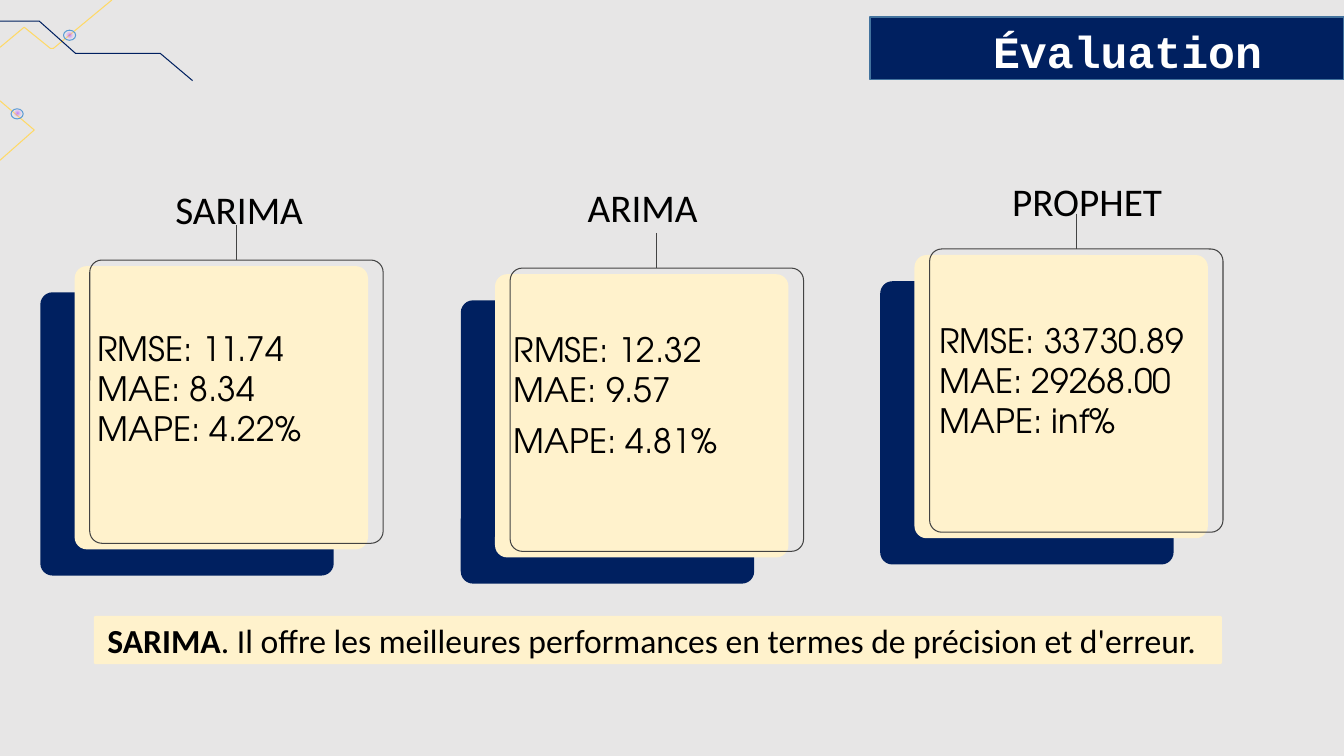
"""Builds the model evaluation slide comparing SARIMA, ARIMA and PROPHET."""
from dataclasses import dataclass
from typing import Optional

from lxml.etree import SubElement
from pptx import Presentation
from pptx.dml.color import RGBColor
from pptx.enum.shapes import MSO_CONNECTOR, MSO_SHAPE
from pptx.enum.text import MSO_ANCHOR, MSO_AUTO_SIZE, PP_ALIGN
from pptx.oxml import parse_xml
from pptx.oxml.ns import nsdecls, qn
from pptx.util import Inches, Pt

COLORS = {
    "background": "E7E6E6", "navy": "002060", "cream": "FFF2CC", "gold": "FFD966",
    "outline": "434343", "banner_line": "43739E", "ring": "5B9BD5",
    "glow": "9900FF", "white": "FFFFFF", "black": "000000",
}
CARD_W, CARD_H = 2.91, 2.81
METRIC_FONT = "TeX Gyre Adventor"


@dataclass
class Model:
    name: str
    x: float
    y: float
    name_box: tuple[float, float, float, float]
    metrics: list[str]
    metrics_box: Optional[tuple[float, float, float, float]] = None


@dataclass
class Trace:
    color: str
    points: list[tuple[float, float]]


MODELS = [
    Model("SARIMA", 0.4, 2.9, (1.64, 1.79, 1.48, 0.57),
          ["RMSE: 11.74", "MAE: 8.34", "MAPE: 4.22%"], (0.87, 3.2, 2.44, 1.31)),
    Model("ARIMA", 4.57, 2.98, (5.73, 1.77, 1.31, 0.57),
          ["RMSE: 12.32", "MAE: 9.57", "MAPE: 4.81%"]),
    Model("PROPHET", 8.73, 2.79, (9.94, 1.71, 1.71, 0.57),
          ["RMSE: 33730.89", "MAE: 29268.00", "MAPE: inf%"], (9.22, 3.12, 2.95, 1.31)),
]
TRACES = [
    Trace("gold", [(1.11, 0), (0.53, 0.48), (0.5, 0.48), (0.24, 0.27), (0, 0.47)]),
    Trace("gold", [(0, 1), (0.34, 1.29), (0, 1.59)]),
    Trace("navy", [(0, 0.21), (0.39, 0.21), (0.75, 0.53), (1.59, 0.53), (1.91, 0.8)]),
]
NODES = [(0.11, 1.08), (0.63, 0.3)]


def rgb(name: str) -> RGBColor:
    """Return a palette colour."""
    return RGBColor.from_string(COLORS[name])


def add_box(s, kind, box, fill=None, line=None, width=0.75):
    """Add a preset shape without shadow."""
    sp = s.shapes.add_shape(kind, *map(Inches, box))
    sp.shadow.inherit = False
    if kind == MSO_SHAPE.ROUNDED_RECTANGLE:
        sp.adjustments[0] = 0.043
    if fill:
        sp.fill.solid()
        sp.fill.fore_color.rgb = rgb(fill)
    else:
        sp.fill.background()
    if line:
        sp.line.color.rgb = rgb(line)
        sp.line.width = Pt(width)
    else:
        sp.line.fill.background()
    return sp


def write(tf, lines: list[str], font: str, size: int) -> None:
    """Write left-aligned black paragraphs."""
    tf.text = "\n".join(lines)
    for p in tf.paragraphs:
        p.alignment = PP_ALIGN.LEFT
        p.font.name = font
        p.font.size = Pt(size)
        p.font.color.rgb = rgb("black")


def set_margins(tf, left: float, top: float, right: float, bottom: float) -> None:
    """Set the insets and centre the text vertically."""
    tf.margin_left, tf.margin_top = Inches(left), Inches(top)
    tf.margin_right, tf.margin_bottom = Inches(right), Inches(bottom)
    tf.vertical_anchor = MSO_ANCHOR.MIDDLE


def add_label(s, box, lines: list[str], font: str, size: int) -> None:
    """Add a text box that fits its text."""
    tf = s.shapes.add_textbox(*map(Inches, box)).text_frame
    tf.word_wrap = False
    tf.auto_size = MSO_AUTO_SIZE.SHAPE_TO_FIT_TEXT
    write(tf, lines, font, size)


def add_title(s) -> None:
    """Add the banner and lay the title over it."""
    banner = add_box(s, MSO_SHAPE.RECTANGLE, (8.63, 0.17, 4.7, 0.62),
                     "navy", "banner_line", 1)
    title = s.shapes.title
    banner.element.addnext(title.element)
    title.left, title.top = Inches(6.87), Inches(-0.06)
    title.width, title.height = Inches(6.02), Inches(1.04)
    tf = title.text_frame
    tf.text = "Évaluation"
    tf.auto_size = MSO_AUTO_SIZE.NONE
    set_margins(tf, 0.1, 0.1, 0.37, 0.1)
    p = tf.paragraphs[0]
    p.alignment = PP_ALIGN.RIGHT
    p.line_spacing = 1.15
    p.font.name = "Courier New"
    p.font.size = Pt(32)
    p.font.bold = True
    p.font.color.rgb = rgb("white")


def add_trace(s, trace: Trace) -> None:
    """Draw an open circuit line."""
    start, *rest = [(Inches(x), Inches(y)) for x, y in trace.points]
    builder = s.shapes.build_freeform(*start)
    builder.add_line_segments(rest, close=False)
    sp = builder.convert_to_shape()
    sp.shadow.inherit = False
    sp.fill.background()
    sp.line.color.rgb = rgb(trace.color)
    sp.line.width = Pt(0.75)


def add_node(s, x: float, y: float) -> None:
    """Draw a ring with a glowing centre."""
    add_box(s, MSO_SHAPE.OVAL, (x, y, 0.12, 0.1), line="ring")
    core = add_box(s, MSO_SHAPE.OVAL, (x + 0.02, y + 0.01, 0.08, 0.07), "glow")
    solid = core.element.spPr.find(qn("a:solidFill"))
    core.element.spPr.replace(solid, parse_xml(
        f'<a:gradFill {nsdecls("a")}><a:gsLst>'
        f'<a:gs pos="0"><a:srgbClr val="{COLORS["glow"]}"><a:alpha val="47000"/></a:srgbClr></a:gs>'
        f'<a:gs pos="100000"><a:srgbClr val="{COLORS["white"]}"><a:alpha val="0"/></a:srgbClr></a:gs>'
        '</a:gsLst><a:path path="circle">'
        '<a:fillToRect l="50000" t="50000" r="50000" b="50000"/></a:path></a:gradFill>'))


def add_model(s, m: Model) -> None:
    """Draw a model's layered card, stem, name and metrics."""
    rounded = MSO_SHAPE.ROUNDED_RECTANGLE
    add_box(s, rounded, (m.x, m.y, CARD_W, CARD_H), "navy")
    card = add_box(s, rounded, (m.x + 0.34, m.y - 0.26, CARD_W, CARD_H), "cream")
    frame = add_box(s, rounded, (m.x + 0.49, m.y - 0.32, CARD_W, CARD_H), line="outline")
    stem_x = frame.left + frame.width // 2
    stem = s.shapes.add_connector(MSO_CONNECTOR.STRAIGHT, stem_x, Inches(m.y - 0.67),
                                  stem_x, frame.top)
    stem.end_connect(frame, 0)
    stem.line.color.rgb = rgb("outline")
    stem.line.width = Pt(0.75)
    SubElement(stem.element.spPr, qn("a:effectLst"))
    add_label(s, m.name_box, [m.name], "Calibri", 28)
    if m.metrics_box:
        add_label(s, m.metrics_box, m.metrics, METRIC_FONT, 24)
    else:
        tf = card.text_frame
        set_margins(tf, 0.15, 0.13, 0.13, 0.55)
        write(tf, m.metrics, METRIC_FONT, 24)
        tf.paragraphs[-1].space_before = Pt(8)


def add_conclusion(s) -> None:
    """Add the closing statement."""
    sp = add_box(s, MSO_SHAPE.ROUNDED_RECTANGLE, (0.93, 6.11, 11.19, 0.48), "cream")
    tf = sp.text_frame
    set_margins(tf, 0.13, 0, 0.13, 0)
    write(tf, ["SARIMA"], "Calibri", 24)
    p = tf.paragraphs[0]
    p.runs[0].font.bold = True
    r = p.add_run()
    r.text = ". Il offre les meilleures performances en termes de précision et d'erreur."


def main() -> None:
    """Build and save the slide."""
    prs = Presentation()
    prs.slide_width, prs.slide_height = Inches(13.33), Inches(7.5)
    s = prs.slides.add_slide(prs.slide_layouts[5])
    s.background.fill.solid()
    s.background.fill.fore_color.rgb = rgb("background")
    add_title(s)
    for trace in TRACES:
        add_trace(s, trace)
    for x, y in NODES:
        add_node(s, x, y)
    for m in MODELS:
        add_model(s, m)
    add_conclusion(s)
    prs.save("out.pptx")


if __name__ == "__main__":
    main()
